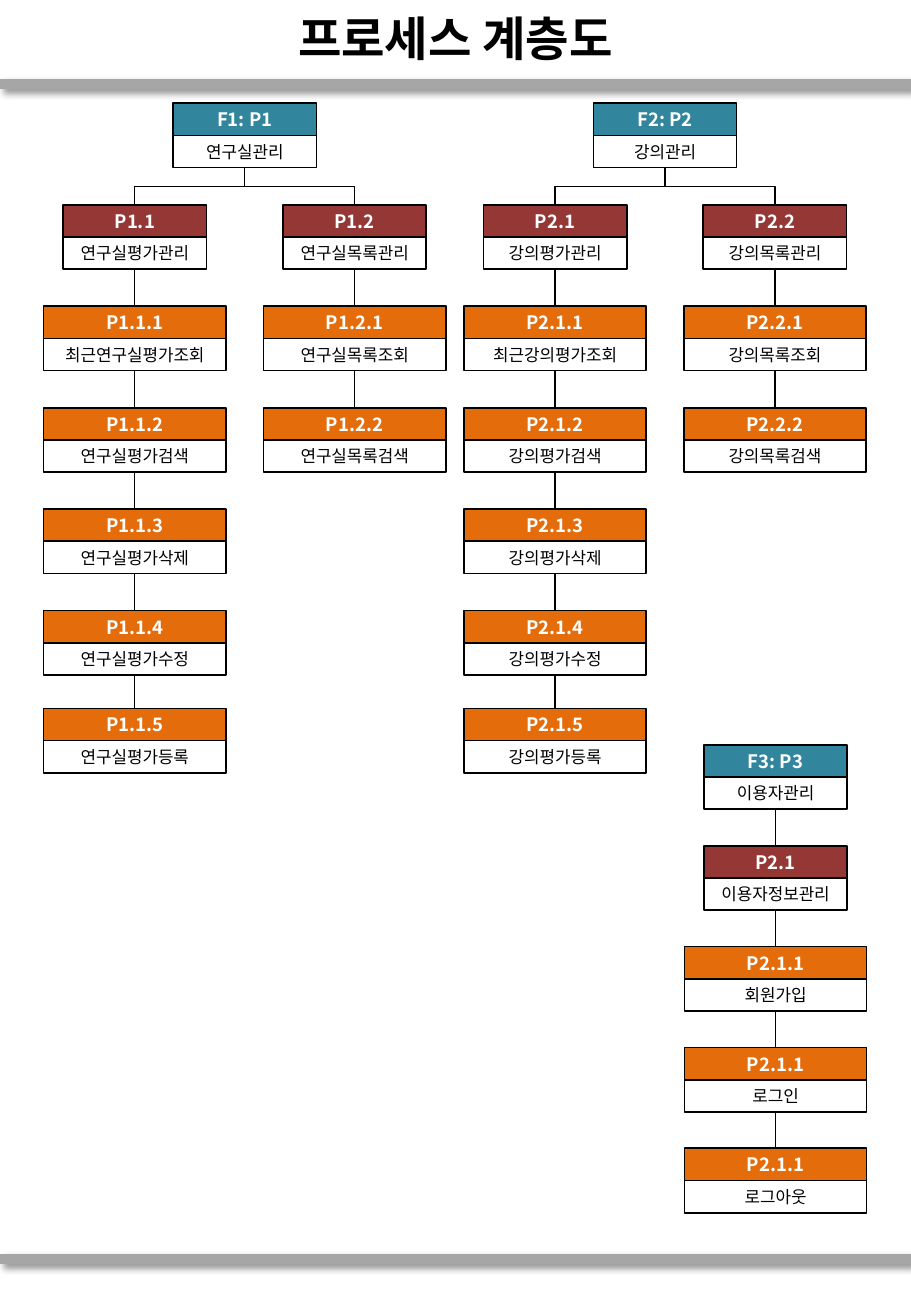
from itertools import pairwise
from lxml.etree import SubElement
from pptx import Presentation
from pptx.dml.color import RGBColor
from pptx.enum.shapes import MSO_CONNECTOR, MSO_SHAPE
from pptx.enum.text import MSO_ANCHOR, PP_ALIGN
from pptx.oxml.ns import qn
from pptx.util import Pt

PX = 4572
FONT = "Noto Sans CJK KR"
ROW = 53
ROOT = ("31859C", 236)
BRANCH = ("953735", 236)
LEAF = ("E46C0A", 300)
TITLE = {"size": Pt(28), "bold": True, "name": FONT}
CODE = {"size": Pt(11), "bold": True, "name": FONT}
LABEL = {"size": Pt(10), "bold": False, "name": FONT}
FRAME = {"word_wrap": True, "vertical_anchor": MSO_ANCHOR.MIDDLE,
         "margin_left": 0, "margin_right": 0, "margin_top": 0, "margin_bottom": 0}


def px(*nums):
    return [round(num * PX) for num in nums]


def paint(color, value):
    color.rgb = RGBColor.from_string(value)


def apply(target, values):
    for key, value in values.items():
        setattr(target, key, value)


def write(shape, text, style, color):
    frame = shape.text_frame
    apply(frame, FRAME)
    para = frame.paragraphs[0]
    para.alignment = PP_ALIGN.CENTER
    run = para.add_run()
    run.text = text
    run.font.fill.solid()
    paint(run.font.fill.fore_color, color)
    apply(run.font, style)
    SubElement(run.font._element, qn("a:ea"), typeface=FONT)


def add_box(slide, area, text, style, fill, color):
    box = slide.shapes.add_shape(MSO_SHAPE.RECTANGLE, *px(*area))
    box.shadow.inherit = False
    box.fill.solid()
    paint(box.fill.fore_color, fill)
    paint(box.line.color, "000000")
    box.line.width = Pt(1)
    write(box, text, style, color)
    return box


def add_node(slide, mid, top, kind, code, label):
    fill, width = kind
    left = mid - width / 2
    head = add_box(slide, (left, top, width, ROW), code, CODE, fill, "FFFFFF")
    foot = add_box(slide, (left, top + ROW, width, ROW), label, LABEL, "FFFFFF", "000000")
    return head, foot


def add_line(slide, kind, ends, color="000000", width=0.75):
    line = slide.shapes.add_connector(kind, *px(*ends))
    paint(line.line.color, color)
    line.line.width = Pt(width)
    effects = SubElement(line._element.spPr, qn("a:effectLst"))
    return line, effects


def add_bar(slide, y):
    _, effects = add_line(slide, MSO_CONNECTOR.STRAIGHT, (0, y, 1500, y), "A6A6A6", 6)
    shadow = SubElement(effects, qn("a:outerShdw"), blurRad=str(Pt(4)), dist=str(Pt(3)),
                        dir="2700000", algn="tl", rotWithShape="0")
    color = SubElement(shadow, qn("a:srgbClr"), val="000000")
    SubElement(color, qn("a:alpha"), val="40000")


def add_elbow(slide, root, child, top, end):
    x, y = (root + child) / 2, (top + end) / 2
    wide, tall = (end - top) / 2, (child - root) / 2
    ends = (x - wide, y + tall, x + wide, y - tall)
    turn = 270 if child > root else 90
    if child < root:
        ends = (x - wide, y - abs(tall), x + wide, y + abs(tall))
    line, _ = add_line(slide, MSO_CONNECTOR.ELBOW, ends)
    line._element.spPr.xfrm.set("rot", str(turn * 60000))


def add_column(slide, mid, tops, nodes):
    built = [add_node(slide, mid, top, *node) for top, node in zip(tops, nodes)]
    for (_, foot), (head, _) in pairwise(built):
        line, _ = add_line(slide, MSO_CONNECTOR.STRAIGHT, (0, 0, 0, 0))
        line.begin_connect(foot, 2)
        line.end_connect(head, 0)


def add_tree(slide, num, topic, mids):
    tops = [*range(337, 1006, 167), 1166]
    groups = (("평가", ("조회", "검색", "삭제", "수정", "등록")), ("목록", ("조회", "검색")))
    root = sum(mids) / 2
    add_node(slide, root, 170, ROOT, f"F{num}: P{num}", topic + "관리")
    for part, (mid, (group, tasks)) in enumerate(zip(mids, groups), 1):
        code = f"P{num}.{part}"
        nodes = [(BRANCH, code, f"{topic}{group}관리")]
        for step, task in enumerate(tasks, 1):
            recent = "최근" if (group, task) == ("평가", "조회") else ""
            nodes.append((LEAF, f"{code}.{step}", f"{recent}{topic}{group}{task}"))
        add_column(slide, mid, tops, nodes)
        add_elbow(slide, root, mid, 170 + 2 * ROW, tops[0])


def main():
    deck = Presentation()
    deck.slide_width, deck.slide_height = px(1500, 2166)
    slide = deck.slides.add_slide(deck.slide_layouts[6])
    for y in (138, 2072):
        add_bar(slide, y)
    title = slide.shapes.add_textbox(*px(0, 2, 1500, 120))
    write(title, "프로세스 계층도", TITLE, "000000")
    add_tree(slide, 1, "연구실", (222, 584))
    add_tree(slide, 2, "강의", (914, 1276))
    users = [(ROOT, "F3: P3", "이용자관리"), (BRANCH, "P2.1", "이용자정보관리")]
    users += [(LEAF, "P2.1.1", task) for task in ("회원가입", "로그인", "로그아웃")]
    add_column(slide, 1277, range(1226, 1891, 166), users)
    deck.save("out.pptx")


if __name__ == "__main__":
    main()
